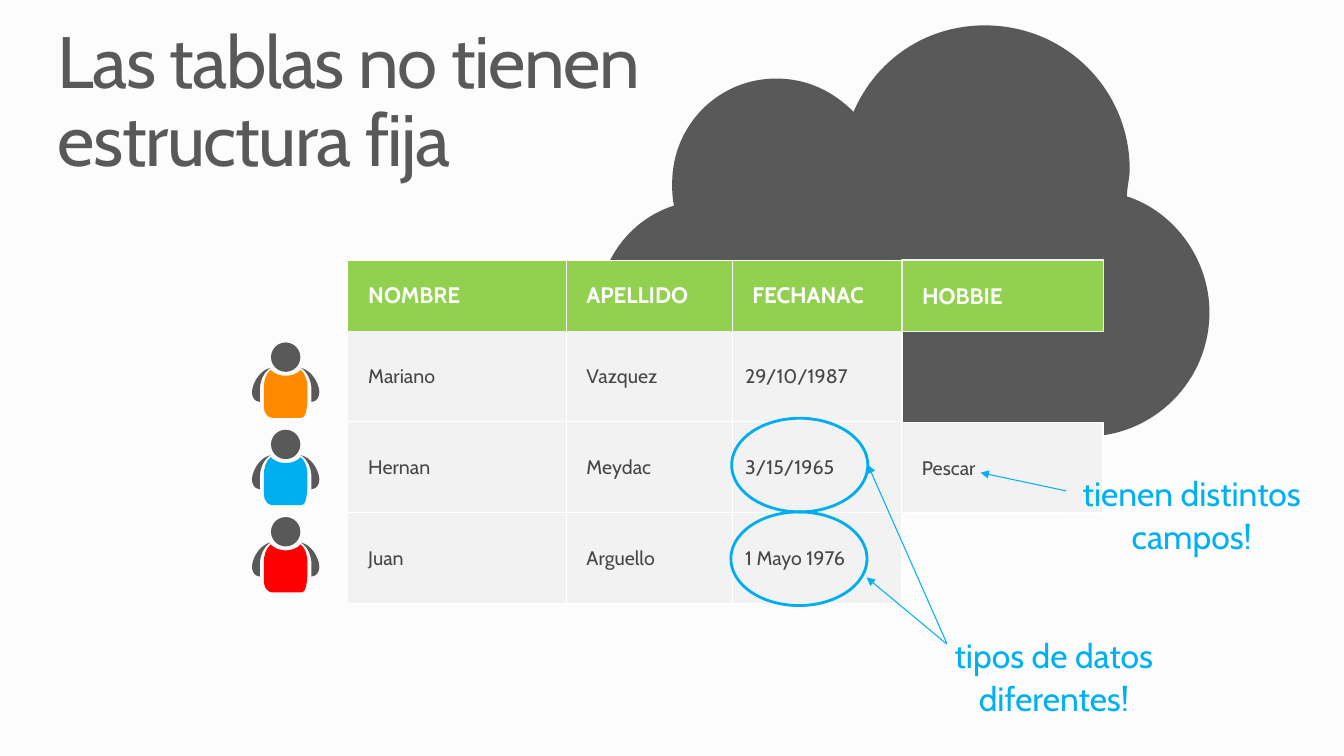
from dataclasses import dataclass

from lxml import etree
from pptx import Presentation
from pptx.dml.color import RGBColor
from pptx.enum.shapes import MSO_CONNECTOR, MSO_SHAPE
from pptx.enum.text import MSO_ANCHOR, PP_ALIGN
from pptx.oxml.ns import qn
from pptx.util import Cm, Pt

LEFT, CENTER = PP_ALIGN.LEFT, PP_ALIGN.CENTER
TOP, MIDDLE = MSO_ANCHOR.TOP, MSO_ANCHOR.MIDDLE
RECT, OVAL = MSO_SHAPE.RECTANGLE, MSO_SHAPE.OVAL
STRAIGHT = MSO_CONNECTOR.STRAIGHT


@dataclass(frozen=True)
class Theme:
    """Colours, font and type sizes of the slide."""
    font: str = "Cabin"
    back: str = "FCFCFC"
    dark: str = "595959"
    body: str = "474747"
    white: str = "FFFFFF"
    pale: str = "F2F2F2"
    green: str = "92D050"
    orange: str = "FF8A00"
    blue: str = "00AEEF"
    note: str = "00B0F0"
    red: str = "FF0000"
    title_size: float = 52
    note_size: float = 24
    head_size: float = 16
    cell_size: float = 14


T = Theme()
HEAD = dict(size=T.head_size, color=T.white, bold=True)
BODY = dict(size=T.cell_size, color=T.body)

ROWS = [
    ["NOMBRE", "APELLIDO", "FECHANAC"],
    ["Mariano", "Vazquez", "29/10/1987"],
    ["Hernan", "Meydac", "3/15/1965"],
    ["Juan", "Arguello", "1 Mayo 1976"],
]
COL_WIDTHS = [5.49, 5.5, 4.18, 4.28]
ROW_HEIGHTS = [1.78, 2.29, 2.29, 2.29]

CLOUD = [
    (28.4, 4.95),
    (28.4, 4.72, 28.47, 4.5, 28.47, 4.27),
    (28.47, 2.26, 26.85, 0.64, 24.82, 0.64),
    (23.32, 0.64, 22.07, 1.52, 21.51, 2.82),
    (21.01, 2.31, 20.35, 1.98, 19.56, 1.98),
    (18.11, 1.98, 16.94, 3.15, 16.94, 4.62),
    (16.94, 4.78, 16.94, 5, 16.99, 5.18),
    (15.8, 5.56, 15.04, 6.68, 15.04, 7.98),
    (15.04, 9.65, 16.36, 11, 18.06, 11),
    (27.36, 11),
    (29.08, 11, 30.48, 9.6, 30.48, 7.87),
    (30.48, 6.53, 29.59, 5.33, 28.4, 4.95),
]
ARM = [
    (0.38, 0.64),
    (0.47, 0.66, 0.67, 0.74, 0.8, 1.04),
    (0.93, 1.35, 0.77, 1.5, 0.65, 1.5),
    (0.65, 1.19),
    (0.65, 0.97, 0.55, 0.74, 0.38, 0.64),
]
TORSO = [
    (0.55, 1.14),
    (0.55, 0.97, 0.5, 0.79, 0.38, 0.69),
    (0.28, 0.79, 0.15, 0.84, 0, 0.84),
    (-0.15, 0.84, -0.28, 0.79, -0.38, 0.69),
    (-0.5, 0.79, -0.55, 0.97, -0.55, 1.14),
    (-0.55, 1.63),
    (-0.55, 1.78, -0.44, 1.9, -0.34, 1.9),
    (0.38, 1.9),
    (0.47, 1.9, 0.55, 1.83, 0.55, 1.27),
]


def rgb(color):
    """Turn a hex string into a colour."""
    return RGBColor.from_string(color)


def write(tf, text, size, color, bold=False, align=LEFT, spacing=None, before=0, tracking=0):
    """Write paragraphs parted by newlines, with vertical tabs as line breaks."""
    for i, line in enumerate(text.split("\n")):
        p = tf.add_paragraph() if i else tf.paragraphs[0]
        p.alignment, p.line_spacing, p.space_before = align, spacing, Pt(before)
        p.text = line
        for r in p.runs:
            r.font.name, r.font.size, r.font.bold = T.font, Pt(size), bold
            r.font.color.rgb = rgb(color)
            if tracking:
                r._r.get_or_add_rPr().set("spc", str(tracking * 100))


def set_margins(box, left, top, right, bottom):
    """Set the four text margins of a text frame or a cell."""
    box.margin_left, box.margin_top = Cm(left), Cm(top)
    box.margin_right, box.margin_bottom = Cm(right), Cm(bottom)


def paint(shape, fill=None, line=None, width=1):
    """Set fill and line of a shape and drop its shadow."""
    shape.shadow.inherit = False
    if fill:
        shape.fill.solid()
        shape.fill.fore_color.rgb = rgb(fill)
    else:
        shape.fill.background()
    if line:
        shape.line.color.rgb = rgb(line)
        shape.line.width = Pt(width)
    else:
        shape.line.fill.background()


def add_preset(shapes, kind, x, y, w, h, **look):
    """Add a painted preset shape."""
    sp = shapes.add_shape(kind, Cm(x), Cm(y), Cm(w), Cm(h))
    paint(sp, **look)
    return sp


def add_text(s, x, y, w, h, text, wrap=True, **fmt):
    """Add a text box without margins."""
    tf = s.shapes.add_textbox(Cm(x), Cm(y), Cm(w), Cm(h)).text_frame
    tf.word_wrap, tf.vertical_anchor = wrap, TOP
    set_margins(tf, 0, 0, 0, 0)
    write(tf, text, spacing=0.9, **fmt)


def bend(sp, outline):
    """Join each three line steps of a six-number segment into one curve."""
    steps = iter(list(sp._element.iter(qn("a:lnTo"))))
    for seg in outline[1:]:
        curve = next(steps)
        if len(seg) == 6:
            curve.tag = qn("a:cubicBezTo")
            for step in (next(steps), next(steps)):
                curve.append(step[0])
                step.getparent().remove(step)


def add_outline(shapes, outline, color, x=0, y=0, side=1):
    """Add a filled outline at an offset, mirrored when side is -1."""
    points = [(Cm(x + side * px), Cm(y + py))
              for seg in outline for px, py in zip(seg[::2], seg[1::2])]
    builder = shapes.build_freeform(*points[0])
    builder.add_line_segments(points[1:], close=True)
    sp = builder.convert_to_shape()
    bend(sp, outline)
    paint(sp, fill=color)


def add_person(s, x, y, color):
    """Add a grouped figure centred on x with its head top at y."""
    shapes = s.shapes.add_group_shape().shapes
    for side in (-1, 1):
        add_outline(shapes, ARM, T.dark, x, y, side)
    add_outline(shapes, TORSO, color, x, y)
    add_preset(shapes, OVAL, x - 0.37, y, 0.74, 0.74, fill=T.dark)


def set_borders(cell, sides):
    """Draw white borders on the named sides and none on the others."""
    tcPr = cell._tc.get_or_add_tcPr()
    for side in "LRTB":
        ln = etree.SubElement(tcPr, qn(f"a:ln{side}"), w=str(Pt(1)))
        if side in sides:
            fill = etree.SubElement(ln, qn("a:solidFill"))
            etree.SubElement(fill, qn("a:srgbClr"), val=T.white)
        else:
            etree.SubElement(ln, qn("a:noFill"))


def add_people_table(s, x, y):
    """Add the table, whose first column stays empty beside the figures."""
    size = Cm(sum(COL_WIDTHS)), Cm(sum(ROW_HEIGHTS))
    table = s.shapes.add_table(len(ROWS), len(COL_WIDTHS), Cm(x), Cm(y), *size).table
    table.first_row = table.horz_banding = False
    for col, width in zip(table.columns, COL_WIDTHS):
        col.width = Cm(width)
    for i, (row, height) in enumerate(zip(ROWS, ROW_HEIGHTS)):
        table.rows[i].height = Cm(height)
        set_borders(table.cell(i, 0), "")
        table.cell(i, 0).fill.background()
        for j, text in enumerate(row, 1):
            cell = table.cell(i, j)
            set_borders(cell, ("LR" if j > 1 else "R") + ("T", "B", "TB", "TB")[i])
            cell.fill.solid()
            cell.fill.fore_color.rgb = rgb(T.pale if i else T.green)
            cell.vertical_anchor = MIDDLE
            side = 0.33 if i and j == 3 else 0.51
            set_margins(cell, side, 0.13, side, 0.13)
            write(cell.text_frame, text, **(BODY if i else HEAD))


def add_field(s, x, y, w, h, text, fmt, **look):
    """Add a loose table field as a rectangle."""
    sp = add_preset(s.shapes, RECT, x, y, w, h, **look)
    tf = sp.text_frame
    tf.word_wrap, tf.vertical_anchor = True, MIDDLE
    set_margins(tf, 0.51, 0.13, 0.25, 0.13)
    write(tf, text, **fmt)


def add_arrow(s, x1, y1, x2, y2):
    """Add a thin arrow that points at its second end."""
    c = s.shapes.add_connector(STRAIGHT, Cm(x1), Cm(y1), Cm(x2), Cm(y2))
    c.line.color.rgb, c.line.width = rgb(T.note), Pt(0.75)
    etree.SubElement(c.line._get_or_add_ln(), qn("a:tailEnd"), type="triangle")
    etree.SubElement(c._element.spPr, qn("a:effectLst"))


def main():
    """Build the slide and save it."""
    prs = Presentation()
    prs.slide_width, prs.slide_height = Cm(33.87), Cm(19.05)
    s = prs.slides.add_slide(prs.slide_layouts[6])
    s.background.fill.solid()
    s.background.fill.fore_color.rgb = rgb(T.back)
    note = dict(wrap=False, size=T.note_size, color=T.note, align=CENTER, before=4.8)

    add_outline(s.shapes, CLOUD, T.dark)
    add_text(s, 1.45, 0.64, 30.96, 4.01, "Las tablas no tienen\vestructura fija",
             size=T.title_size, color=T.dark, tracking=-1)
    add_people_table(s, 3.28, 6.56)
    add_preset(s.shapes, OVAL, 18.42, 12.9, 3.43, 2.36, line=T.blue, width=2)
    add_field(s, 22.73, 6.55, 5.08, 1.8, "HOBBIE", HEAD, fill=T.green, line=T.pale)
    add_field(s, 22.72, 10.64, 5.08, 2.29, "Pescar", BODY, fill=T.pale, line=T.white)
    for i, color in enumerate((T.orange, T.blue, T.red)):
        add_person(s, 7.2, 8.63 + 2.2 * i, color)
    add_arrow(s, 23.86, 16.23, 21.84, 14.55)
    add_arrow(s, 23.86, 16.21, 21.87, 11.71)
    add_text(s, 23.87, 16.12, 5.38, 2.06, "tipos de datos\ndiferentes!", **note)
    add_preset(s.shapes, OVAL, 18.44, 10.54, 3.43, 2.36, line=T.blue, width=2)
    add_text(s, 27.14, 12.03, 5.79, 2.06, "tienen distintos\ncampos!", **note)
    add_arrow(s, 26.87, 12.37, 24.71, 11.91)
    prs.save("out.pptx")


if __name__ == "__main__":
    main()
